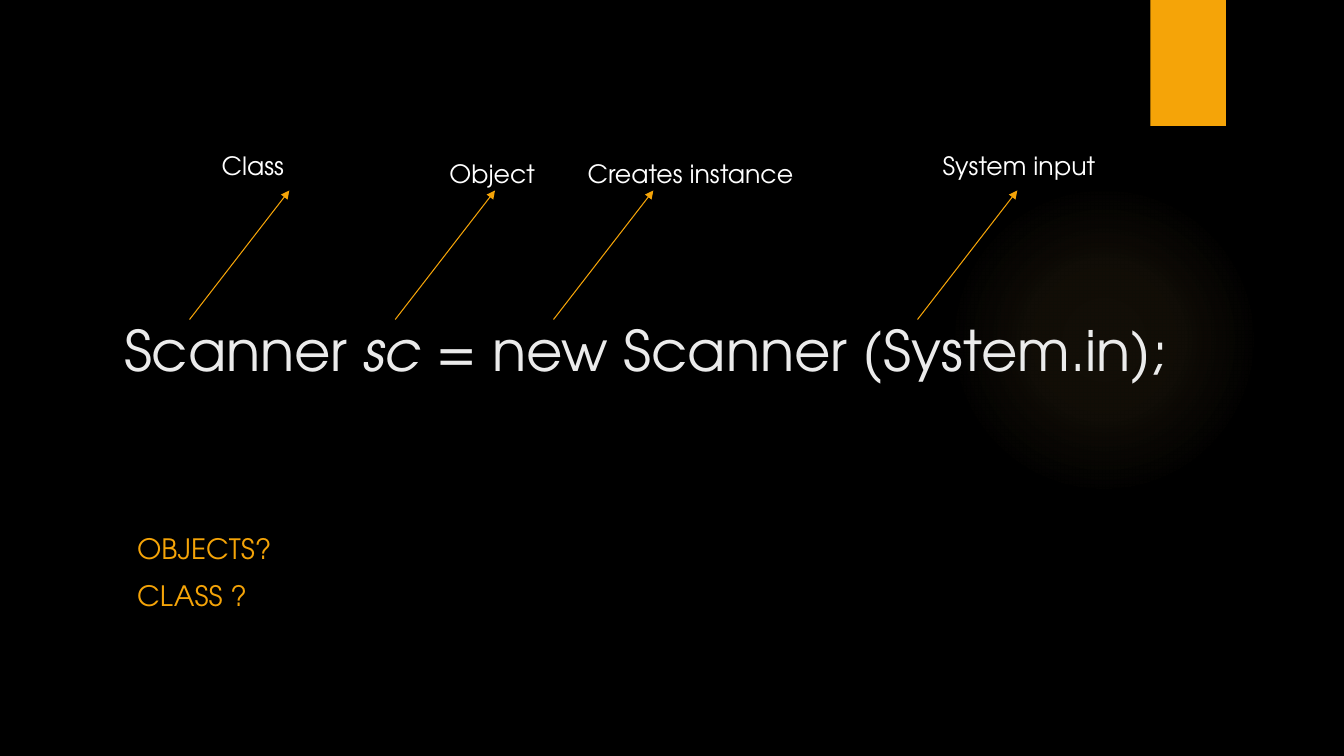
from dataclasses import dataclass

from lxml import etree
from pptx import Presentation
from pptx.dml.color import RGBColor
from pptx.enum.shapes import MSO_CONNECTOR, MSO_SHAPE
from pptx.enum.text import MSO_ANCHOR, MSO_AUTO_SIZE, PP_ALIGN
from pptx.oxml import parse_xml
from pptx.oxml.ns import nsdecls, qn
from pptx.util import Inches, Pt

STRAIGHT = MSO_CONNECTOR.STRAIGHT
OVAL, RECTANGLE = MSO_SHAPE.OVAL, MSO_SHAPE.RECTANGLE
TOP, BOTTOM = MSO_ANCHOR.TOP, MSO_ANCHOR.BOTTOM
LEFT = PP_ALIGN.LEFT
NO_FIT, GROW = MSO_AUTO_SIZE.NONE, MSO_AUTO_SIZE.SHAPE_TO_FIT_TEXT


@dataclass(frozen=True)
class Theme:
    font: str = "TeX Gyre Adventor"
    background: str = "000000"
    accent: str = "F5A408"
    glow: str = "FAC96A"
    title: str = "EBEBEB"
    label: str = "FFFFFF"
    title_size: int = 40
    body_size: int = 20
    label_size: int = 18


@dataclass(frozen=True)
class Callout:
    text: str
    left: float
    top: float
    width: float
    arrow_left: float


THEME = Theme()
CALLOUTS = [
    Callout("Class", 2.1, 1.44, 1.37, 1.88),
    Callout("Object", 4.36, 1.52, 1.13, 3.92),
    Callout("Creates instance", 5.73, 1.52, 2.38, 5.49),
    Callout("System input", 9.25, 1.44, 1.83, 9.1),
]
LABEL_HEIGHT = 0.4
ARROW_BOTTOM, ARROW_TOP, ARROW_RUN = 3.17, 1.89, 0.99
GLOW_STOPS = [(0, 7), (36, 6), (69, 0)]  # position and opacity, percent


def rgb(color: str) -> RGBColor:
    return RGBColor.from_string(color)


def add_text(p, text: str, *, size: int, color: str, italic: bool = False) -> None:
    r = p.add_run()
    r.text = text
    r.font.name = THEME.font
    r.font.size = Pt(size)
    r.font.color.rgb = rgb(color)
    r.font.italic = italic


def place(sp, left: float, top: float, width: float, height: float) -> None:
    sp.left, sp.top = Inches(left), Inches(top)
    sp.width, sp.height = Inches(width), Inches(height)


def add_backdrop(s, kind, left: float, top: float, width: float, height: float):
    sp = s.shapes.add_shape(kind, Inches(left), Inches(top), Inches(width), Inches(height))
    sp.shadow.inherit = False
    sp.line.fill.background()
    return sp


def apply_glow(sp) -> None:
    stops = "".join(
        f'<a:gs pos="{pos * 1000}"><a:srgbClr val="{THEME.glow}">'
        f'<a:alpha val="{alpha * 1000}"/></a:srgbClr></a:gs>'
        for pos, alpha in GLOW_STOPS
    )
    gradient = parse_xml(
        f'<a:gradFill {nsdecls("a")}><a:gsLst>{stops}</a:gsLst><a:path path="circle">'
        '<a:fillToRect l="50000" t="50000" r="50000" b="50000"/></a:path></a:gradFill>'
    )
    sp.fill.background()
    spPr = sp._element.spPr
    spPr.replace(spPr.find(qn("a:noFill")), gradient)


def add_arrow(s, left: float) -> None:
    line = s.shapes.add_connector(
        STRAIGHT, Inches(left), Inches(ARROW_BOTTOM),
        Inches(left + ARROW_RUN), Inches(ARROW_TOP),
    )
    line.line.color.rgb = rgb(THEME.accent)
    line.line.width = Pt(0.75)
    etree.SubElement(line.line._get_or_add_ln(), qn("a:tailEnd"), type="triangle")
    etree.SubElement(line._element.spPr, qn("a:effectLst"))


def add_callout(s, callout: Callout) -> None:
    add_arrow(s, callout.arrow_left)
    box = s.shapes.add_textbox(
        Inches(callout.left), Inches(callout.top),
        Inches(callout.width), Inches(LABEL_HEIGHT),
    )
    tf = box.text_frame
    tf.word_wrap = True
    tf.auto_size = GROW
    add_text(tf.paragraphs[0], callout.text, size=THEME.label_size, color=THEME.label)


def fill_title(sp) -> None:
    place(sp, 1.13, 1.76, 11.28, 2.09)
    tf = sp.text_frame
    tf.auto_size = NO_FIT
    tf.vertical_anchor = BOTTOM
    p = tf.paragraphs[0]
    p.alignment = LEFT
    for text, italic in [("Scanner ", False), ("sc", True), (" = new Scanner (System.in);", False)]:
        add_text(p, text, size=THEME.title_size, color=THEME.title, italic=italic)


def fill_body(sp) -> None:
    place(sp, 1.26, 5.22, 9.65, 0.94)
    tf = sp.text_frame
    tf.auto_size = NO_FIT
    tf.vertical_anchor = TOP
    for i, text in enumerate(["OBJECTS?", "CLASS ?"]):
        p = tf.add_paragraph() if i else tf.paragraphs[0]
        p.space_before = Pt(10)
        pPr = p._p.get_or_add_pPr()
        pPr.set("marL", "0")
        pPr.set("indent", "0")
        etree.SubElement(pPr, qn("a:buNone"))
        add_text(p, text, size=THEME.body_size, color=THEME.accent)


def main() -> None:
    prs = Presentation()
    prs.slide_width, prs.slide_height = Inches(13.33), Inches(7.5)
    s = prs.slides.add_slide(prs.slide_layouts[1])
    s.background.fill.solid()
    s.background.fill.fore_color.rgb = rgb(THEME.background)

    # Glow and accent tab, kept behind the text
    glow = add_backdrop(s, OVAL, 9.41, 1.83, 3.08, 3.08)
    apply_glow(glow)
    tab = add_backdrop(s, RECTANGLE, 11.41, 0, 0.75, 1.25)
    tab.fill.solid()
    tab.fill.fore_color.rgb = rgb(THEME.accent)
    for sp in (tab, glow):
        s.shapes._spTree.insert(2, sp._element)

    # Code line and questions
    fill_title(s.shapes.title)
    fill_body(s.placeholders[1])

    # Labels pointing out the parts of the code line
    for callout in CALLOUTS:
        add_callout(s, callout)

    prs.save("out.pptx")


if __name__ == "__main__":
    main()
